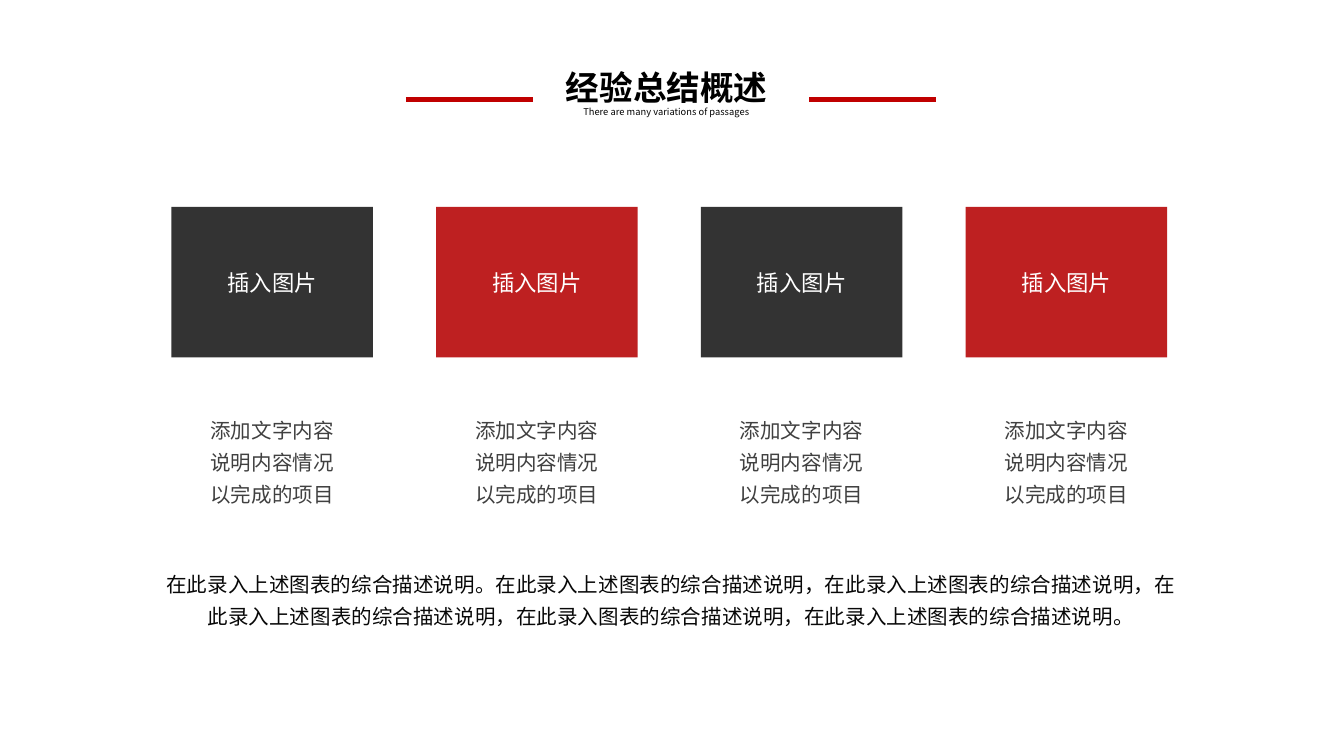
from pptx import Presentation, util as u
from pptx.dml.color import RGBColor
from pptx.enum import shapes, text
from pptx.oxml.ns import qn
from lxml import etree

COLORS = {
    "black": "000000", "white": "FFFFFF", "dark": "333333", "red": "BE2021",
    "rule": "C00000", "caption": "404040", "summary": "080808",
}
FONT = "Noto Sans CJK SC"
CELL = u.Inches(0.1)  # the slide is a grid of 100 columns by 56.25 rows
COLUMNS, ROWS = 100, 56.25
CAPTION = ["添加文字内容", "说明内容情况", "以完成的项目"]
SUMMARY = (
    "在此录入上述图表的综合描述说明。在此录入上述图表的综合描述说明，"
    "在此录入上述图表的综合描述说明，在此录入上述图表的综合描述说明，"
    "在此录入图表的综合描述说明，在此录入上述图表的综合描述说明。"
)


def color(name):
    return RGBColor.from_string(COLORS[name])


def cells(*counts):
    return [round(count * CELL) for count in counts]


def write(shape, lines, size, ink, align=text.PP_ALIGN.CENTER, bold=False,
          spacing=None, insets=(0.09, 0.04), anchor=text.MSO_ANCHOR.MIDDLE):
    frame = shape.text_frame
    frame.word_wrap = True
    frame.auto_size = text.MSO_AUTO_SIZE.NONE
    frame.vertical_anchor = anchor
    frame.margin_left = frame.margin_right = u.Inches(insets[0])
    frame.margin_top = frame.margin_bottom = u.Inches(insets[1])
    for index, line in enumerate(lines):
        para = frame.add_paragraph() if index else frame.paragraphs[0]
        para.alignment = align
        if spacing:
            para.line_spacing = spacing
        span = para.add_run()
        span.text = line
        span.font.size, span.font.bold = u.Pt(size), bold
        span.font.name = FONT
        span.font.color.rgb = color(ink)
        # East Asian typeface for the Chinese text
        east = etree.SubElement(span.font._element, qn("a:ea"))
        east.set("typeface", FONT)


def add_rule(page, left, top, width):
    rule = page.shapes.add_connector(
        shapes.MSO_CONNECTOR.STRAIGHT, *cells(left, top, left + width, top))
    rule.line.color.rgb = color("rule")
    rule.line.width = u.Pt(2.5)
    etree.SubElement(rule._element.spPr, qn("a:effectLst"))


def add_header(page, left, top, width):
    # Title and subtitle
    title = page.shapes.title
    title.left, title.top, title.width, title.height = cells(
        left + 10.9, top, 17.4, 4)
    write(title, ["经验总结概述"], 18, "black", text.PP_ALIGN.LEFT, True,
          insets=(0.1, 0.04), anchor=text.MSO_ANCHOR.TOP)
    subtitle = page.shapes.add_textbox(*cells(left + 13.2, top + 3.3, 14.4, 0.8))
    write(subtitle, ["There are many variations of passages"], 5, "black",
          text.PP_ALIGN.LEFT, insets=(0, 0), anchor=text.MSO_ANCHOR.TOP)
    # Rules on both sides
    rule_width = 9.45
    for rule_left in (left, left + width - rule_width):
        add_rule(page, rule_left, top + 2.8, rule_width)


def add_card(page, left, top, width, fill):
    # Picture panel
    panel = page.shapes.add_shape(
        shapes.MSO_SHAPE.RECTANGLE, *cells(left, top, width, 11.2))
    panel.shadow.inherit = False
    panel.fill.solid()
    panel.fill.fore_color.rgb = color(fill)
    panel.line.fill.background()
    write(panel, ["插入图片"], 12, "white")
    # Caption below
    caption = page.shapes.add_textbox(*cells(left, top + 12.75, width, 12))
    write(caption, CAPTION, 11, "caption", spacing=1.3)


def add_cards(page, left, top, width):
    fills = ["dark", "red", "dark", "red"]
    card_width = 15
    pitch = (width - card_width) / (len(fills) - 1)
    for index, fill in enumerate(fills):
        add_card(page, left + index * pitch, top, card_width, fill)


def add_summary(page, left, top, width, height):
    summary = page.shapes.add_textbox(*cells(left, top, width, height))
    write(summary, [SUMMARY], 11, "summary", spacing=1.3,
          insets=(0.07, 0.04), anchor=text.MSO_ANCHOR.TOP)


def main():
    deck = Presentation()
    deck.slide_width, deck.slide_height = cells(COLUMNS, ROWS)
    page = deck.slides.add_slide(deck.slide_layouts.get_by_name("Title Only"))
    add_header(page, 30.2, 4.6, 39.45)
    add_cards(page, 12.75, 15.4, 74.1)
    add_summary(page, 11.1, 41.6, 77.7, 5.4)
    deck.save("out.pptx")


if __name__ == "__main__":
    main()
